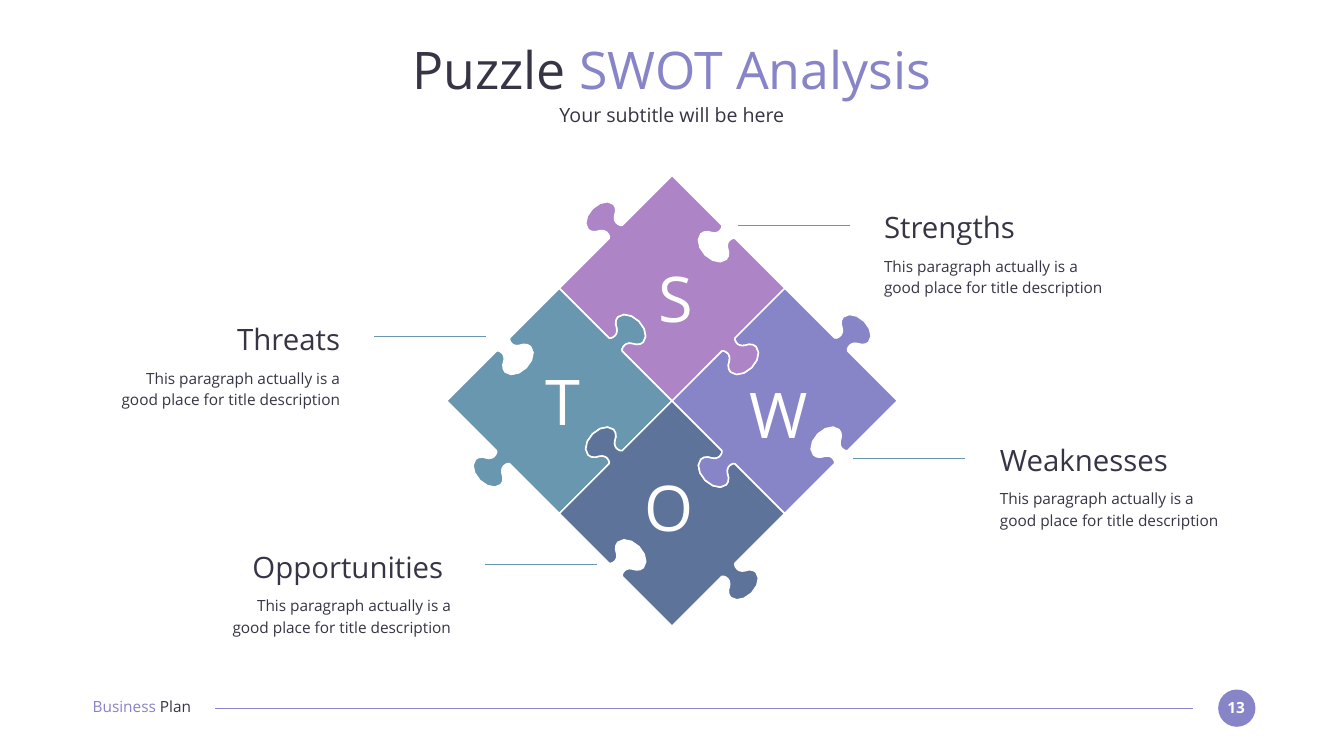
import pptx
import pptx.dml.color
import pptx.enum.shapes
import pptx.enum.text
import pptx.util
from pptx.oxml.ns import qn
from lxml import etree

Cm = pptx.util.Cm
RGBColor = pptx.dml.color.RGBColor
Align = pptx.enum.text.PP_ALIGN
AutoSize = pptx.enum.text.MSO_AUTO_SIZE

INK = RGBColor(0x37, 0x35, 0x45)
WHITE = RGBColor(0xFF, 0xFF, 0xFF)
VIOLET = RGBColor(0x87, 0x84, 0xC7)
ORCHID = RGBColor(0xAD, 0x84, 0xC6)
TEAL = RGBColor(0x69, 0x97, 0xAF)
SLATE = RGBColor(0x5D, 0x73, 0x9A)

BOARD_X, BOARD_Y, HALF = 33.87, 20.2, 5.68
KNOB_START = (2.51, 0)
KNOB_CURVES = [
    [(2.57, 0.03), (2.6, 0.11), (2.6, 0.22)],
    [(2.59, 0.3), (2.54, 0.38), (2.46, 0.43)],
    [(2.3, 0.5), (2.2, 0.62), (2.2, 0.75)],
    [(2.2, 0.98), (2.49, 1.17), (2.84, 1.17)],
]
DESCRIPTION = "This paragraph actually is a good place for title description"


def edge_profile(steps=3):
    """Return (along, outward) points of one puzzle edge with its knob."""
    half = [(0, 0), KNOB_START]
    for b, c, d in KNOB_CURVES:
        a = half[-1]
        for i in range(1, steps + 1):
            t = i / steps
            weights = ((1 - t) ** 3, 3 * t * (1 - t) ** 2, 3 * t * t * (1 - t), t ** 3)
            half.append(tuple(sum(w * q[k] for w, q in zip(weights, (a, b, c, d))) for k in (0, 1)))
    return half + [(HALF - u, v) for u, v in half[-2:0:-1]]


def piece_outline(cx, cy, mirror):
    """Return the outline of a piece, knobs and sockets alternating."""
    points = []
    for quarter in range(4):
        sign = 1 if quarter % 2 == 0 else -1
        for u, v in edge_profile():
            x, y = u + sign * v, u - sign * v - HALF
            for _ in range(quarter):
                x, y = -y, x
            points.append((Cm(cx + mirror * x), Cm(cy + y)))
    return points


class Deck:
    """Holds the style and the current slide."""

    def __init__(self, prs, font):
        self.font = font
        self.s = prs.slides.add_slide(prs.slide_layouts[6])

    def text(self, x, y, w, h, runs, size, align=Align.LEFT, bold=False, spacing=None):
        tf = self.s.shapes.add_textbox(Cm(x), Cm(y), Cm(w), Cm(h)).text_frame
        tf.margin_left = tf.margin_top = tf.margin_right = tf.margin_bottom = 0
        tf.word_wrap = True
        tf.vertical_anchor = pptx.enum.text.MSO_ANCHOR.MIDDLE
        if spacing:
            tf.auto_size = AutoSize.TEXT_TO_FIT_SHAPE
        p = tf.paragraphs[0]
        p.alignment = align
        p.line_spacing = spacing
        for words, color in runs:
            r = p.add_run()
            r.text = words
            r.font.name = self.font
            r.font.size = pptx.util.Pt(size)
            r.font.bold = bold
            r.font.color.rgb = color

    def line(self, x1, x2, y, color):
        sp = self.s.shapes.add_connector(
            pptx.enum.shapes.MSO_CONNECTOR.STRAIGHT, Cm(x1), Cm(y), Cm(x2), Cm(y))
        sp.line.color.rgb = color
        sp.line.width = pptx.util.Pt(1.5)
        etree.SubElement(sp._element.spPr, qn("a:effectLst"))

    def disc(self, x, y, d, color):
        sp = self.s.shapes.add_shape(
            pptx.enum.shapes.MSO_SHAPE.OVAL, Cm(x), Cm(y), Cm(d), Cm(d))
        sp.shadow.inherit = False
        sp.fill.solid()
        sp.fill.fore_color.rgb = color
        sp.line.fill.background()

    def piece(self, column, row, mirror, color):
        points = piece_outline(BOARD_X + column * HALF, BOARD_Y + row * HALF, mirror)
        builder = self.s.shapes.build_freeform(*points[0])
        builder.add_line_segments(points[1:], close=True)
        sp = builder.convert_to_shape()
        sp.shadow.inherit = False
        sp.fill.solid()
        sp.fill.fore_color.rgb = color
        sp.line.color.rgb = WHITE
        sp.line.width = pptx.util.Pt(2.25)

    def callout(self, x, y, heading, line_x, line_y, align):
        self.line(line_x + 5.64, line_x, line_y, TEAL)
        self.text(x, y, 11.53, 1.8, [(heading, INK)], 42, align)
        self.text(x, y + 2.16, 11.53, 2.34, [(DESCRIPTION, INK)], 22, align, spacing=1.3)


def main():
    prs = pptx.Presentation()
    prs.slide_width, prs.slide_height = Cm(67.73), Cm(38.1)
    deck = Deck(prs, "Open Sans")

    deck.disc(61.39, 34.75, 1.88, VIOLET)
    deck.text(61.54, 35.18, 1.5, 0.94, [("13", WHITE)], 22, Align.CENTER, bold=True)
    deck.line(60.12, 10.85, 35.69, VIOLET)
    deck.text(4.67, 35.15, 6.58, 0.94, [("Business ", VIOLET), ("Plan", INK)], 22)

    deck.text(4.65, 1.85, 58.42, 3.23, [("Puzzle ", INK), ("SWOT Analysis", VIOLET)], 74, Align.CENTER)
    deck.text(4.65, 5.16, 58.42, 1.24, [("Your subtitle will be here", INK)], 28, Align.CENTER)

    for column, row, mirror, color in [
        (-1, 0, 1, TEAL),
        (0, 1, -1, SLATE),
        (1, 0, 1, VIOLET),
        (0, -1, -1, ORCHID),
    ]:
        deck.piece(column, row, mirror, color)

    for x, y, heading, line_x, line_y, align in [
        (5.61, 16.18, "Threats", 18.85, 16.97, Align.RIGHT),
        (11.2, 27.64, "Opportunities ", 24.43, 28.45, Align.RIGHT),
        (44.55, 10.54, "Strengths", 37.19, 11.38, Align.LEFT),
        (50.39, 22.25, "Weaknesses", 43, 23.11, Align.LEFT),
    ]:
        deck.callout(x, y, heading, line_x, line_y, align)

    for x, y, letter in [
        (36.58, 18.9, "W"),
        (31.37, 13.06, "S"),
        (25.7, 18.26, "T"),
        (31.04, 23.62, "O"),
    ]:
        deck.text(x, y, 5.33, 3.84, [(letter, WHITE)], 90, Align.CENTER)

    prs.save("out.pptx")


if __name__ == "__main__":
    main()
